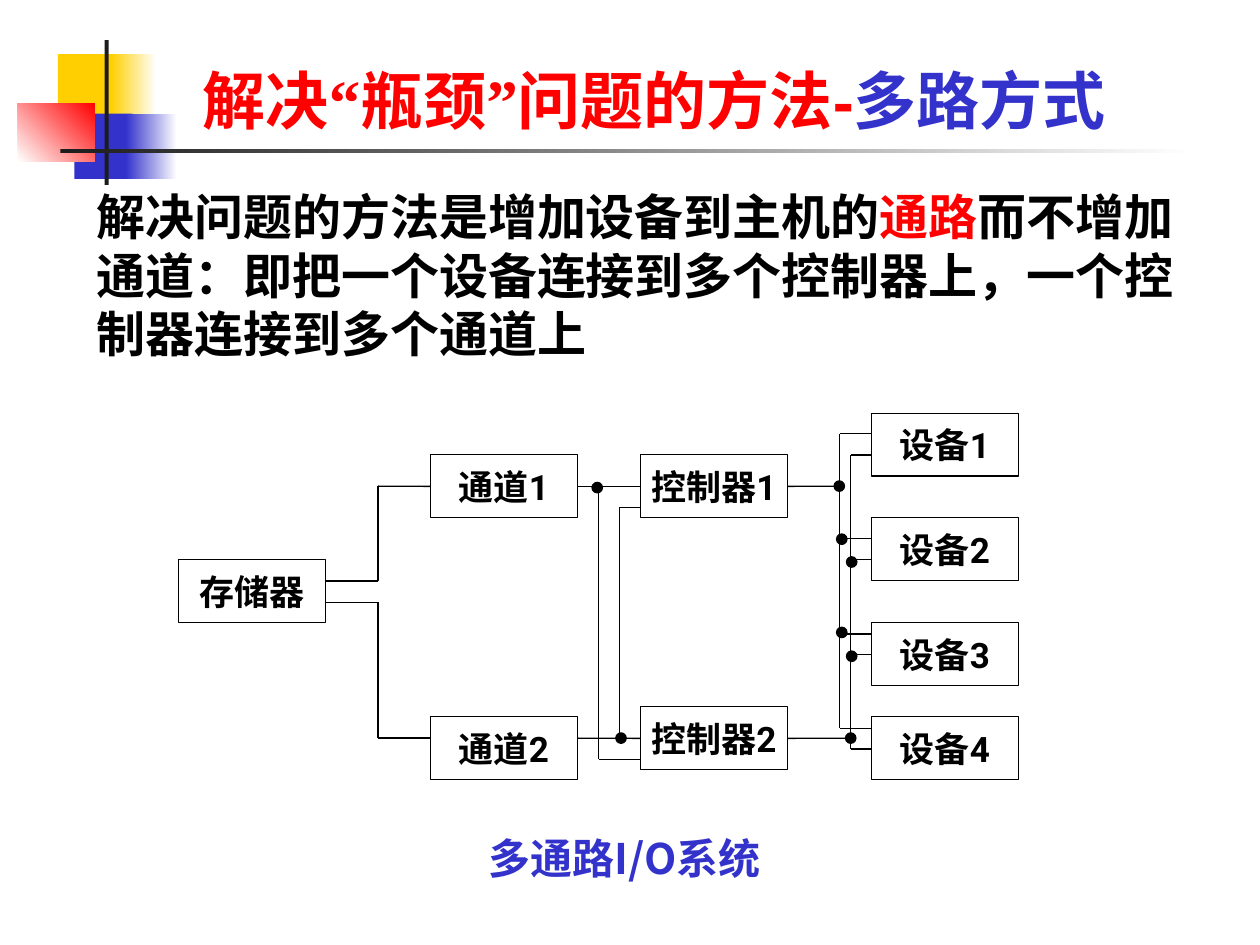
"""Build the slide on multi-path I/O as a cure for bottlenecks."""
from dataclasses import dataclass
from typing import Optional

import pptx
import pptx.dml.color
import pptx.enum.shapes
import pptx.enum.text
import pptx.oxml
import pptx.oxml.ns
import pptx.util

Cm = pptx.util.Cm
Pt = pptx.util.Pt
SHAPE = pptx.enum.shapes.MSO_SHAPE
ALIGN = pptx.enum.text.PP_ALIGN
ANCHOR = pptx.enum.text.MSO_ANCHOR

COLORS = {
    "yellow": "FFCF01",
    "blue": "3333CC",
    "red": "FF0000",
    "dark": "1C1C1C",
    "black": "000000",
    "white": "FFFFFF",
}
BOX_W, BOX_H = 2.96, 1.27
DOT = 0.21
LEFT, RIGHT = 1, 3


@dataclass
class Block:
    x: float
    y: float
    w: float
    h: float
    color: str
    fade_to: Optional[str] = None
    angle: float = 0


@dataclass
class Box:
    text: str
    x: float
    y: float


@dataclass
class Wire:
    points: list[tuple[float, float]]
    begin: Optional[str] = None
    end: Optional[str] = None


@dataclass
class Run:
    text: str
    color: str
    font: str


@dataclass
class Label:
    x: float
    y: float
    w: float
    h: float
    size: float
    runs: list[Run]
    align: ALIGN = ALIGN.LEFT
    anchor: ANCHOR = ANCHOR.TOP


BLOCKS = [
    Block(1.17, 1.09, 1.22, 1.32, "yellow"),
    Block(2.24, 1.09, 0.91, 1.32, "yellow", "white"),
    Block(1.5, 2.29, 1.17, 1.32, "blue"),
    Block(2.54, 2.29, 1.02, 1.32, "blue", "white"),
    Block(0.36, 2.08, 1.55, 1.17, "white", "red", 45),
    Block(2.11, 0.81, 0.08, 2.92, "dark"),
    Block(1.22, 3, 22.86, 0.08, "dark", "white"),
]

BOXES = [
    Box("存储器", 3.6, 11.28),
    Box("通道1", 8.68, 9.17),
    Box("通道2", 8.68, 14.45),
    Box("控制器1", 12.91, 9.17),
    Box("控制器2", 12.91, 14.25),
    Box("设备1", 17.57, 8.33),
    Box("设备2", 17.57, 10.44),
    Box("设备3", 17.57, 12.55),
    Box("设备4", 17.57, 14.45),
]

BUS_1, BUS_2, DEVICE_X = 16.93, 17.15, 17.57
WIRES = [
    Wire([(6.56, 11.71), (7.62, 11.71), (7.62, 9.8), (8.68, 9.8)], end="通道1"),
    Wire([(6.56, 12.14), (7.62, 12.14), (7.62, 14.88), (8.68, 14.88)]),
    Wire([(11.64, 9.8), (12.91, 9.8)], "通道1", "控制器1"),
    Wire([(11.64, 14.88), (12.91, 14.88)], end="控制器2"),
    Wire([(12.07, 9.8), (12.07, 15.31), (12.91, 15.31)]),
    Wire([(12.49, 14.88), (12.49, 10.23), (12.91, 10.23)]),
    Wire([(DEVICE_X, 8.74), (BUS_1, 8.74), (BUS_1, 14.68), (DEVICE_X, 14.68)]),
    Wire([(DEVICE_X, 9.17), (BUS_2, 9.17), (BUS_2, 15.1), (DEVICE_X, 15.1)]),
    *(Wire([(BUS_1, y), (DEVICE_X, y)]) for y in (10.86, 12.78)),
    *(Wire([(BUS_2, y), (DEVICE_X, y)]) for y in (11.28, 13.19)),
    Wire([(15.87, 9.8), (BUS_1, 9.8)], begin="控制器1"),
    Wire([(15.87, 14.88), (BUS_2, 14.88)], begin="控制器2"),
]

DOTS = [
    (12.52, 14.88), (12.04, 9.83), (16.92, 9.8), (16.97, 10.87),
    (16.97, 12.75), (17.15, 14.88), (17.17, 13.23), (17.17, 11.33),
]

LABELS = [
    Label(3.84, 0.53, 20.85, 2.36, 36, [
        Run("解决", "red", "Arial"),
        Run("“", "red", "Times New Roman"),
        Run("瓶颈", "red", "Arial"),
        Run("”", "red", "Times New Roman"),
        Run("问题的方法-", "red", "Arial"),
        Run("多路方式", "blue", "Arial"),
    ], anchor=ANCHOR.BOTTOM),
    Label(5.92, 16.66, 13.34, 1.27, 24,
          [Run("多通路I/O系统", "blue", "Noto Sans CJK SC")], ALIGN.CENTER),
    Label(1.7, 3.63, 22.2, 3.81, 28, [
        Run("解决问题的方法是增加设备到主机的", "black", "Roboto"),
        Run("通路", "red", "Roboto"),
        Run("而不增加通道：即把一个设备连接到多个控制器上，一个控制器连接到多个通道上",
            "black", "Roboto"),
    ]),
]


def rgb(name: str) -> pptx.dml.color.RGBColor:
    """Return the named colour."""
    return pptx.dml.color.RGBColor.from_string(COLORS[name])


def style_run(r, size: float, color: str, font: str) -> None:
    """Format a run as bold text with one face for both scripts."""
    r.font.size, r.font.bold, r.font.name = Pt(size), True, font
    r.font.color.rgb = rgb(color)
    rPr = r.font._element
    rPr.set("lang", "zh-CN")
    ea = pptx.oxml.parse_xml(f'<a:ea {pptx.oxml.ns.nsdecls("a")} typeface="{font}"/>')
    rPr.find(pptx.oxml.ns.qn("a:latin")).addnext(ea)


def add_solid(s, kind: SHAPE, x: float, y: float, w: float, h: float, fill: str):
    """Add a filled preset shape without shadow."""
    sp = s.shapes.add_shape(kind, Cm(x), Cm(y), Cm(w), Cm(h))
    sp.shadow.inherit = False
    sp.fill.solid()
    sp.fill.fore_color.rgb = rgb(fill)
    return sp


def outline(line) -> None:
    """Give a thin black line."""
    line.color.rgb = rgb("black")
    line.width = Pt(0.75)


def draw_block(s, block: Block) -> None:
    """Draw a plain or fading decoration block."""
    sp = add_solid(s, SHAPE.RECTANGLE, block.x, block.y, block.w, block.h, block.color)
    sp.line.fill.background()
    if block.fade_to:
        sp.fill.gradient()
        sp.fill.gradient_angle = block.angle
        for stop, name, pos in zip(sp.fill.gradient_stops, (block.color, block.fade_to), (0, 1)):
            stop.color.rgb, stop.position = rgb(name), pos


def draw_box(s, box: Box):
    """Draw a component box and return it."""
    sp = add_solid(s, SHAPE.RECTANGLE, box.x, box.y, BOX_W, BOX_H, "white")
    outline(sp.line)
    tf = sp.text_frame
    tf.text = box.text
    tf.word_wrap, tf.vertical_anchor = False, ANCHOR.MIDDLE
    p = tf.paragraphs[0]
    p.alignment = ALIGN.CENTER
    style_run(p.runs[0], 20, "black", "Roboto")
    return sp


def draw_wire(s, wire: Wire, boxes: dict) -> None:
    """Draw a wire as straight segments joined to its boxes."""
    segments = []
    for (x1, y1), (x2, y2) in zip(wire.points, wire.points[1:]):
        c = s.shapes.add_connector(
            pptx.enum.shapes.MSO_CONNECTOR.STRAIGHT, Cm(x1), Cm(y1), Cm(x2), Cm(y2))
        outline(c.line)
        c._element.spPr.append(
            pptx.oxml.parse_xml(f'<a:effectLst {pptx.oxml.ns.nsdecls("a")}/>'))
        segments.append(c)
    if wire.begin:
        segments[0].begin_connect(boxes[wire.begin], RIGHT)
    if wire.end:
        segments[-1].end_connect(boxes[wire.end], LEFT)


def draw_label(s, label: Label) -> None:
    """Draw a text box of styled runs."""
    sp = s.shapes.add_textbox(Cm(label.x), Cm(label.y), Cm(label.w), Cm(label.h))
    tf = sp.text_frame
    tf.word_wrap, tf.vertical_anchor = True, label.anchor
    p = tf.paragraphs[0]
    p.alignment = label.align
    for run in label.runs:
        r = p.add_run()
        r.text = run.text
        style_run(r, label.size, run.color, run.font)


def main() -> None:
    """Build and save the slide."""
    prs = pptx.Presentation()
    prs.slide_width, prs.slide_height = Cm(25.4), Cm(19.05)
    s = prs.slides.add_slide(prs.slide_layouts[6])
    for block in BLOCKS:
        draw_block(s, block)
    boxes = {box.text: draw_box(s, box) for box in BOXES}
    for wire in WIRES:
        draw_wire(s, wire, boxes)
    for x, y in DOTS:
        dot = add_solid(s, SHAPE.FLOWCHART_CONNECTOR, x - DOT / 2, y - DOT / 2, DOT, DOT, "black")
        outline(dot.line)
    for label in LABELS:
        draw_label(s, label)
    prs.save("out.pptx")


if __name__ == "__main__":
    main()
